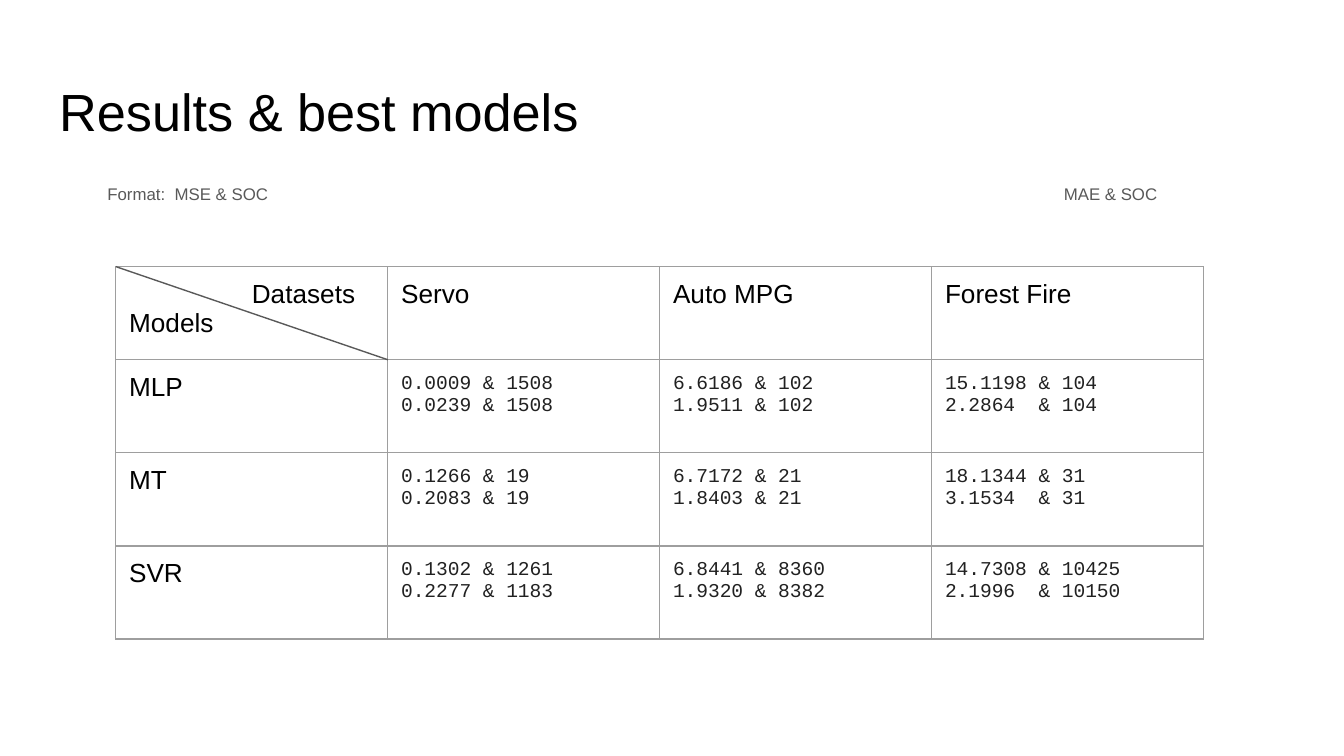
from lxml.etree import SubElement
from pptx import Presentation
from pptx.dml.color import RGBColor
from pptx.enum.shapes import MSO_CONNECTOR
from pptx.oxml.ns import qn
from pptx.util import Cm, Pt

COLORS = {
    "title": "000000",
    "note": "595959",
    "label": "000000",
    "value": "212121",
    "border": "9E9E9E",
    "diagonal": "595959",
}
INSET = Cm(0.25)
TABLE_LEFT, TABLE_TOP = Cm(2.19), Cm(5.04)
COL_WIDTH, ROW_HEIGHT = Cm(5.14), Cm(1.76)

ROWS = [
    ["Datasets\nModels", "Servo", "Auto MPG", "Forest Fire"],
    ["MLP", "0.0009 & 1508\n0.0239 & 1508", "6.6186 & 102\n1.9511 & 102",
     "15.1198 & 104\n2.2864  & 104"],
    ["MT", "0.1266 & 19\n0.2083 & 19", "6.7172 & 21\n1.8403 & 21",
     "18.1344 & 31\n3.1534  & 31"],
    ["SVR", "0.1302 & 1261\n0.2277 & 1183", "6.8441 & 8360\n1.9320 & 8382",
     "14.7308 & 10425\n2.1996  & 10150"],
]


def color(name):
    return RGBColor.from_string(COLORS[name])


def format_text(tf, size, color_name, font="Arial"):
    for p in tf.paragraphs:
        for r in p.runs:
            r.font.size = Pt(size)
            r.font.name = font
            r.font.color.rgb = color(color_name)


def set_insets(obj):
    obj.margin_left = obj.margin_right = INSET
    obj.margin_top = obj.margin_bottom = INSET


def add_text(s, text, left, top, width, height, size, color_name):
    tf = s.shapes.add_textbox(left, top, width, height).text_frame
    tf.word_wrap = True
    set_insets(tf)
    tf.text = text
    format_text(tf, size, color_name)
    return tf.paragraphs[0]


def add_right_tab(p, position):
    tabs = SubElement(p._p.get_or_add_pPr(), qn("a:tabLst"))
    SubElement(tabs, qn("a:tab"), pos=str(position), algn="r")


def set_borders(cell):
    tc_pr = cell._tc.get_or_add_tcPr()
    for side in ("a:lnL", "a:lnR", "a:lnT", "a:lnB"):
        ln = SubElement(tc_pr, qn(side), w=str(Pt(0.75)))
        fill = SubElement(ln, qn("a:solidFill"))
        SubElement(fill, qn("a:srgbClr"), val=COLORS["border"])


def add_results_table(s):
    n_rows, n_cols = len(ROWS), len(ROWS[0])
    table = s.shapes.add_table(n_rows, n_cols, TABLE_LEFT, TABLE_TOP,
                               COL_WIDTH * n_cols, ROW_HEIGHT * n_rows).table
    table.first_row = table.horz_banding = False
    for column in table.columns:
        column.width = COL_WIDTH
    for i, row in enumerate(ROWS):
        table.rows[i].height = ROW_HEIGHT
        for j, text in enumerate(row):
            cell = table.cell(i, j)
            set_insets(cell)
            set_borders(cell)
            cell.fill.background()
            cell.text_frame.text = text
            if i == 0 or j == 0:
                format_text(cell.text_frame, 14, "label")
            else:
                format_text(cell.text_frame, 10.5, "value", "Courier New")
    # Indent the column heading in the split corner cell
    p = table.cell(0, 0).text_frame.paragraphs[0]
    p._p.get_or_add_pPr().set("marL", str(Cm(2.32)))


def add_line(s, x1, y1, x2, y2, color_name):
    line = s.shapes.add_connector(MSO_CONNECTOR.STRAIGHT, x1, y1, x2, y2)
    line.line.color.rgb = color(color_name)
    line.line.width = Pt(0.75)
    SubElement(line._element.spPr, qn("a:effectLst"))


def main():
    prs = Presentation()
    prs.slide_width, prs.slide_height = Cm(25.4), Cm(14.29)
    s = prs.slides.add_slide(prs.slide_layouts[6])

    # Title
    add_text(s, "Results & best models", Cm(0.87), Cm(1.24), Cm(23.67),
             Cm(1.6), 28, "title")

    # Format note, second half aligned to a right tab
    p = add_text(s, "Format:  MSE & SOC\tMAE & SOC", Cm(1.78), Cm(3.2),
                 Cm(21.13), Cm(1), 9, "note")
    p.line_spacing = 1.15
    add_right_tab(p, Cm(19.84))

    # Results with a diagonal across the corner cell
    add_results_table(s)
    add_line(s, TABLE_LEFT, TABLE_TOP, TABLE_LEFT + COL_WIDTH,
             TABLE_TOP + ROW_HEIGHT, "diagonal")

    prs.save("out.pptx")


if __name__ == "__main__":
    main()
